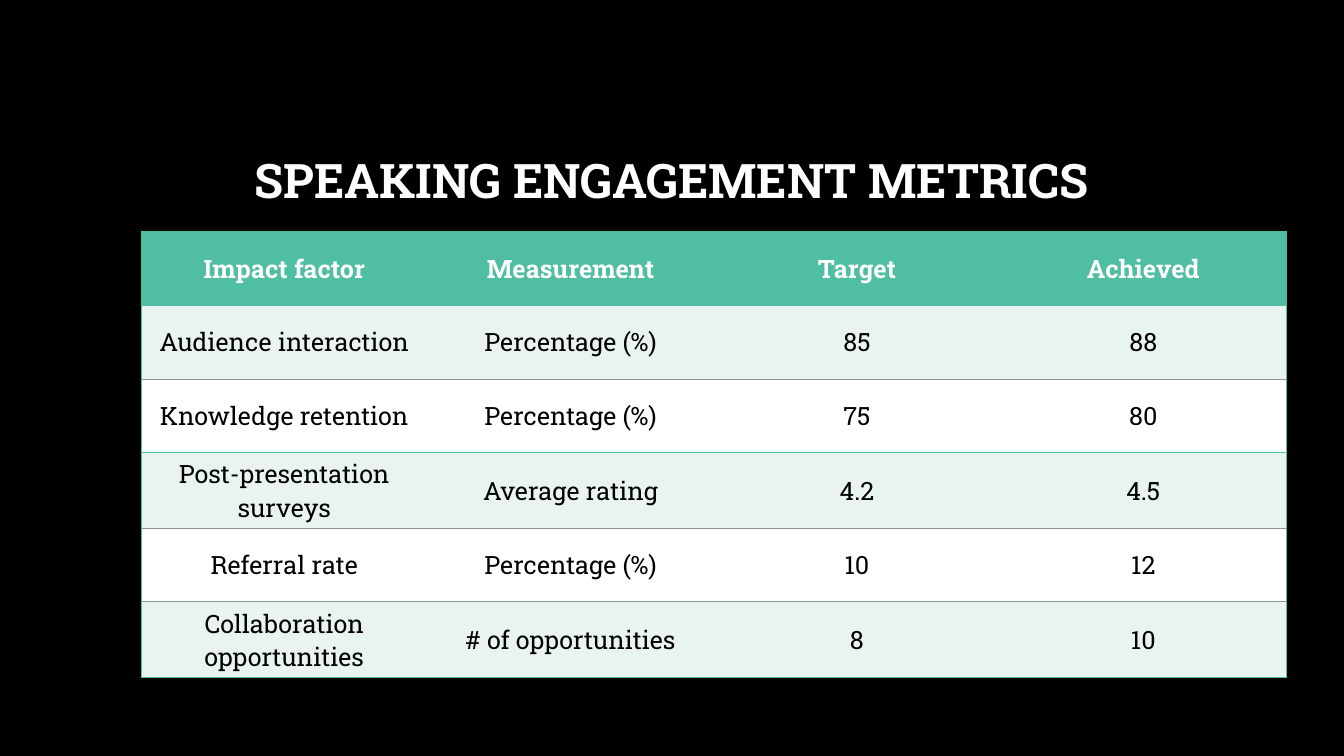
from lxml import etree
from pptx import Presentation
from pptx import util as u
from pptx.dml.color import RGBColor
from pptx.enum import text
from pptx.oxml import ns

COLORS = {
    "background": "000000", "title": "FFFFFF", "header": "50BEA3",
    "header_text": "FFFFFF", "body_text": "000000",
    "tint": "E9F4F0", "plain": "FFFFFF", "divider": "8C9692",
}
FONT = "Roboto Slab"
COLUMN_WIDTH = 2.84
ROW_HEIGHTS = [0.73, 0.73, 0.73, 0.75, 0.73, 0.75]
METRICS = [
    ["Impact factor", "Measurement", "Target", "Achieved"],
    ["Audience interaction", "Percentage (%)", "85", "88"],
    ["Knowledge retention", "Percentage (%)", "75", "80"],
    ["Post-presentation surveys", "Average rating", "4.2", "4.5"],
    ["Referral rate", "Percentage (%)", "10", "12"],
    ["Collaboration opportunities", "# of opportunities", "8", "10"],
]
FRAME = ("header", 1)
DIVIDER = ("divider", 0.5)
ROW_EDGES = [FRAME, FRAME, DIVIDER, FRAME, DIVIDER, DIVIDER, FRAME]
COLUMN_EDGES = [FRAME, None, None, None, FRAME]


def color(name):
    """Return the named colour."""
    return RGBColor.from_string(COLORS[name])


def format_text(text_frame, size, color_name, bold):
    """Centre the text and style its runs."""
    for paragraph in text_frame.paragraphs:
        paragraph.alignment = text.PP_ALIGN.CENTER
        for run in paragraph.runs:
            run.font.name = FONT
            run.font.size = u.Pt(size)
            run.font.bold = bold
            run.font.color.rgb = color(color_name)


def set_border(cell, side, edge):
    """Draw one side of a cell, or clear it when edge is None."""
    properties = cell._tc.get_or_add_tcPr()
    line = etree.SubElement(properties, ns.qn(f"a:ln{side}"))
    if edge is None:
        line.set("w", "0")
        etree.SubElement(line, ns.qn("a:noFill"))
        return
    color_name, width = edge
    line.set("w", str(int(u.Pt(width))))
    fill = etree.SubElement(line, ns.qn("a:solidFill"))
    etree.SubElement(fill, ns.qn("a:srgbClr"), val=COLORS[color_name])


def add_title(slide, title):
    """Add the slide title, standing on the bottom of its box."""
    shape = slide.shapes.add_textbox(
        u.Inches(1), u.Inches(0.67), u.Inches(11.32), u.Inches(1.45))
    text_frame = shape.text_frame
    text_frame.word_wrap = True
    text_frame.vertical_anchor = text.MSO_ANCHOR.BOTTOM
    text_frame.text = title
    text_frame.paragraphs[0].line_spacing = 0.9
    format_text(text_frame, 34, "title", True)


def fill_cell(cell, value, row, column):
    """Write one cell with its borders and banded fill."""
    is_header = row == 0
    cell.text = value
    cell.vertical_anchor = text.MSO_ANCHOR.MIDDLE
    format_text(cell.text_frame, 18, "header_text" if is_header else "body_text", is_header)
    set_border(cell, "L", COLUMN_EDGES[column])
    set_border(cell, "R", COLUMN_EDGES[column + 1])
    set_border(cell, "T", ROW_EDGES[row])
    set_border(cell, "B", ROW_EDGES[row + 1])
    cell.fill.solid()
    band = "tint" if row % 2 else "plain"
    cell.fill.fore_color.rgb = color("header" if is_header else band)


def add_metrics_table(slide, rows):
    """Add the table of metrics."""
    columns = len(rows[0])
    table = slide.shapes.add_table(
        len(rows), columns, u.Inches(1.4), u.Inches(2.3),
        u.Inches(COLUMN_WIDTH * columns), u.Inches(sum(ROW_HEIGHTS))).table
    for table_column in table.columns:
        table_column.width = u.Inches(COLUMN_WIDTH)
    for row, values in enumerate(rows):
        table.rows[row].height = u.Inches(ROW_HEIGHTS[row])
        for column, value in enumerate(values):
            fill_cell(table.cell(row, column), value, row, column)


def main():
    """Build and save the slide."""
    presentation = Presentation()
    presentation.slide_width = u.Inches(13.33)
    presentation.slide_height = u.Inches(7.5)
    slide = presentation.slides.add_slide(presentation.slide_layouts[6])
    slide.background.fill.solid()
    slide.background.fill.fore_color.rgb = color("background")
    add_title(slide, "SPEAKING ENGAGEMENT METRICS")
    add_metrics_table(slide, METRICS)
    presentation.save("out.pptx")


if __name__ == "__main__":
    main()
